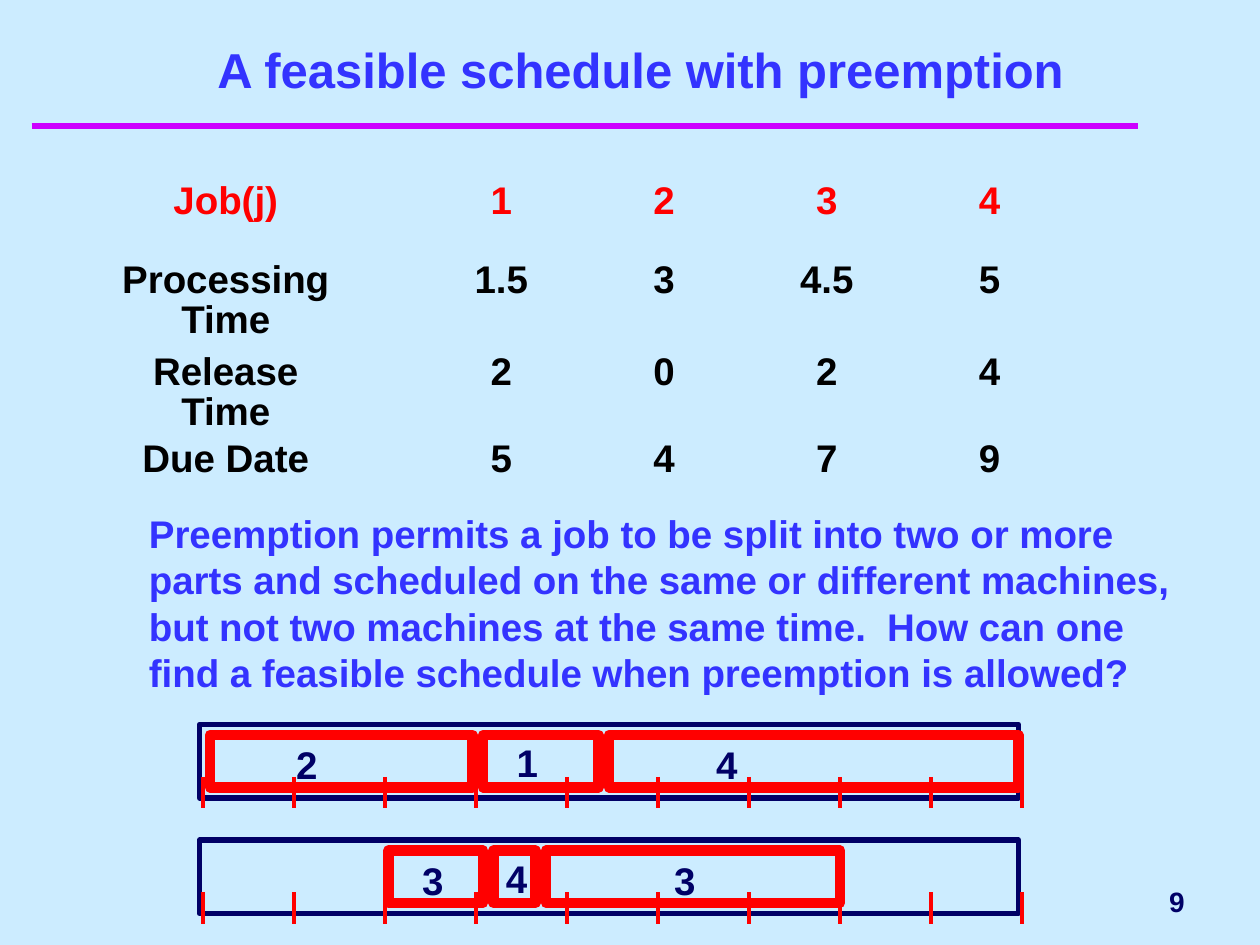
from lxml import etree
from pptx import Presentation
from pptx.dml.color import RGBColor
from pptx.enum.shapes import MSO_CONNECTOR, MSO_SHAPE
from pptx.enum.text import MSO_ANCHOR, PP_ALIGN
from pptx.oxml.ns import qn
from pptx.util import Inches, Pt

LEFT, CENTER, RIGHT = PP_ALIGN.LEFT, PP_ALIGN.CENTER, PP_ALIGN.RIGHT
TOP, MIDDLE, BOTTOM = MSO_ANCHOR.TOP, MSO_ANCHOR.MIDDLE, MSO_ANCHOR.BOTTOM
RECT, LINE = MSO_SHAPE.RECTANGLE, MSO_CONNECTOR.STRAIGHT

SKY = RGBColor(0xCC, 0xEC, 0xFF)
BLUE = RGBColor(0x33, 0x33, 0xFF)
NAVY = RGBColor(0x00, 0x00, 0x66)
RED = RGBColor(0xFF, 0x00, 0x00)
BLACK = RGBColor(0x00, 0x00, 0x00)
PURPLE = RGBColor(0xCC, 0x00, 0xFF)

NO_STYLE = "{2D5ABB26-0587-4C30-8999-92F81FD0307C}"
COLS, ROWS = 120, 90
UNIT = Inches(10) / COLS
SLOTS = 9

BODY = (
    "Preemption permits a job to be split into two or more parts and "
    "scheduled on the same or different machines, but not two machines "
    "at the same time.  How can one find a feasible schedule when "
    "preemption is allowed?"
)
JOBS = [
    ("Job(j)", "1", "2", "3", "4"),
    ("Processing\nTime", "1.5", "3", "4.5", "5"),
    ("Release\nTime", "2", "0", "2", "4"),
    ("Due Date", "5", "4", "7", "9"),
]
FIRST = [("2", 1, 25, 8.2, 0.6), ("1", 27, 11, 3.2, 0.4), ("4", 39, 39, 10.2, 0.6)]
SECOND = [("3", 18, 9, 3.2, 0.6), ("4", 28, 4, 1.2, 0.4), ("3", 33, 28, 12.2, 0.6)]


def grid(*cells):
    """Turn grid counts into slide lengths."""
    return [round(cell * UNIT) for cell in cells]


def style(frame, size, color, align=LEFT):
    """Format every paragraph of a text frame."""
    for para in frame.paragraphs:
        para.alignment = align
        for run in para.runs:
            font = run.font
            font.name, font.size, font.bold = "Arial", Pt(size), True
            font.color.rgb = color


def add_text(slide, box, text, size, color, align=LEFT, anchor=TOP):
    """Place a text box on the grid."""
    frame = slide.shapes.add_textbox(*grid(*box)).text_frame
    frame.word_wrap = True
    frame.vertical_anchor = anchor
    frame.text = text
    style(frame, size, color, align)


def add_line(slide, ends, color, width):
    """Draw a straight line without a shadow."""
    line = slide.shapes.add_connector(LINE, *grid(*ends))
    line.line.color.rgb = color
    line.line.width = Pt(width)
    etree.SubElement(line._element.spPr, qn("a:effectLst"))


def add_rect(slide, box, color, width):
    """Draw an unfilled rectangle."""
    rect = slide.shapes.add_shape(RECT, *grid(*box))
    rect.shadow.inherit = False
    rect.fill.background()
    rect.line.color.rgb = color
    rect.line.width = Pt(width)
    return rect


def add_head(slide, box):
    """Place the title and the rule beneath it."""
    add_text(slide, box, "A feasible schedule with preemption",
             28, BLUE, CENTER, BOTTOM)
    rule = box[1] + box[3] + 2
    add_line(slide, (3, rule, 108.4, rule), PURPLE, 4)


def add_jobs(slide, box):
    """Place the job table in its box."""
    table = slide.shapes.add_table(len(JOBS), len(JOBS[0]), *grid(*box)).table
    table.first_row = table.horz_banding = False
    table._tbl.tblPr.find(qn("a:tableStyleId")).text = NO_STYLE
    for col, width in zip(table.columns, grid(37, *[15.5] * 4)):
        col.width = width
    for row, height in zip(table.rows, grid(7.5, 8.8, 8.3, 4.8)):
        row.height = height
    for r, job in enumerate(JOBS):
        for c, text in enumerate(job):
            cell = table.cell(r, c)
            cell.fill.background()
            cell.margin_left = cell.margin_right = cell.margin_bottom = 0
            cell.margin_top = Inches(0.03)
            cell.text_frame.text = text
            style(cell.text_frame, 22, BLACK if r else RED, CENTER)
            for para in cell.text_frame.paragraphs:
                para.line_spacing = Pt(23)


def add_chart_bar(slide, box, blocks):
    """Draw one machine's bar with its time ticks and job blocks."""
    left, top, width, height = box
    add_rect(slide, box, NAVY, 3)
    for slot in range(SLOTS + 1):
        x = left + 0.33 + slot * width / SLOTS
        add_line(slide, (x, top + height - 2, x, top + height + 1), RED, 2.25)
    for text, start, span, inset, drop in blocks:
        block = (left + start, top + 1, span, height - 2)
        frame = add_rect(slide, block, RED, 6).text_frame
        frame.word_wrap = True
        frame.vertical_anchor = TOP
        frame.margin_left, frame.margin_top = grid(inset, drop)
        frame.margin_right = frame.margin_bottom = 0
        frame.text = text
        style(frame, 22, NAVY)


def main():
    """Build the slide and save it."""
    deck = Presentation()
    deck.slide_width, deck.slide_height = grid(COLS, ROWS)
    slide = deck.slides.add_slide(deck.slide_layouts[6])
    slide.background.fill.solid()
    slide.background.fill.fore_color.rgb = SKY
    add_head(slide, (5, 3, 112, 7))
    add_jobs(slide, (3, 17, 99, 29.4))
    add_text(slide, (13, 48, 100, 19), BODY, 22, BLUE)
    for top, blocks in ((69, FIRST), (80, SECOND)):
        add_chart_bar(slide, (19, top, 78, 7), blocks)
    add_text(slide, (86, 83.4, 28, 4.8), "9", 16, NAVY, RIGHT, MIDDLE)
    deck.save("out.pptx")


if __name__ == "__main__":
    main()
